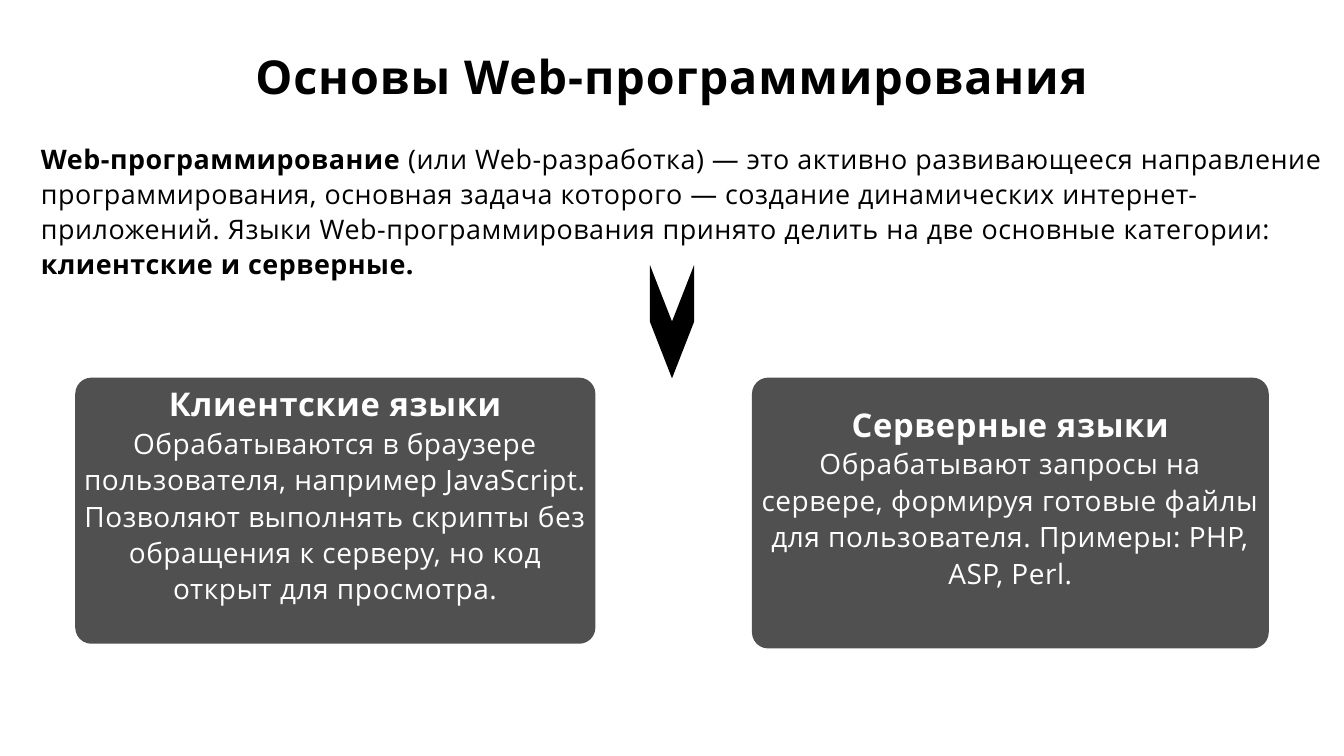
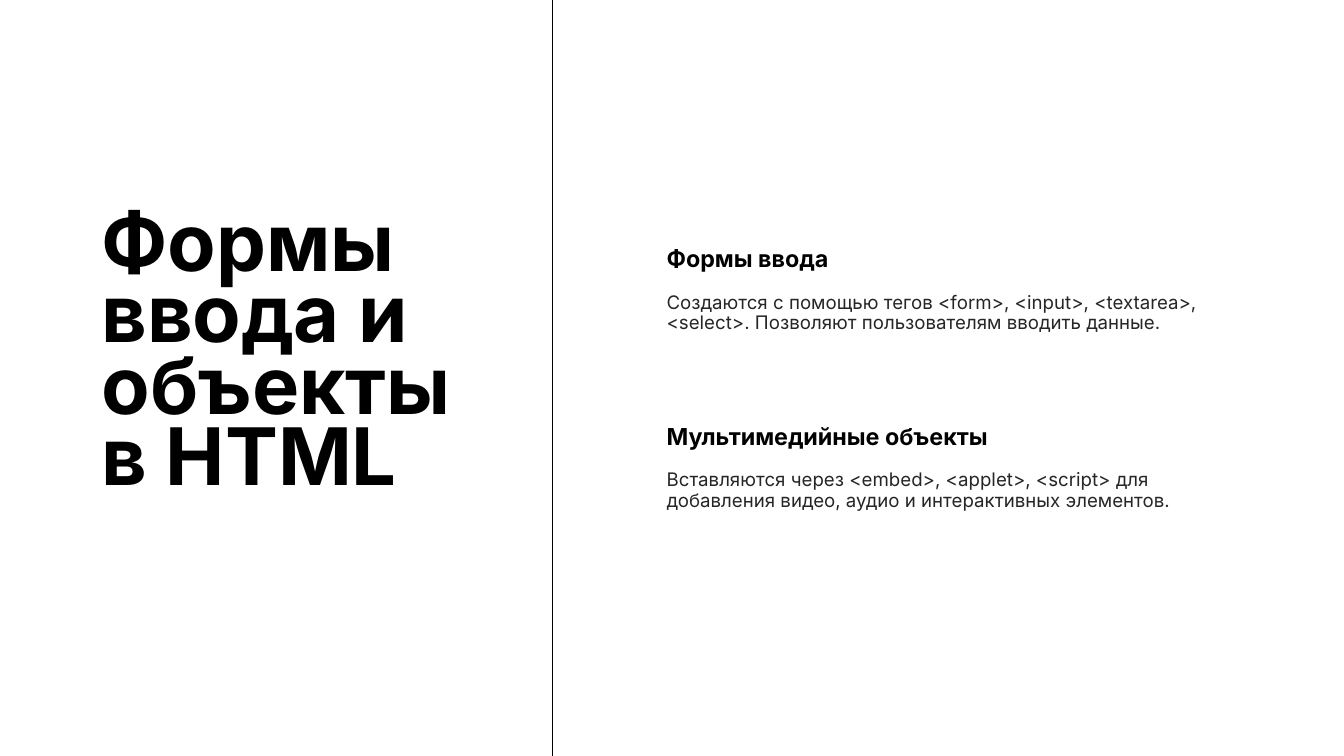
from dataclasses import dataclass, field

from lxml.etree import SubElement
from pptx import Presentation
from pptx.dml.color import RGBColor
from pptx.enum.shapes import MSO_CONNECTOR, MSO_SHAPE
from pptx.enum.text import MSO_ANCHOR, MSO_AUTO_SIZE, PP_ALIGN
from pptx.oxml.ns import qn
from pptx.util import Inches, Pt

TITLE_ONLY = 5
PAGE_WIDTH, PAGE_HEIGHT = 20, 11.25


@dataclass(frozen=True)
class TextStyle:
    font: str
    size: float
    leading: float
    color: str = "000000"
    bold: bool = False
    tracking: float = 0
    align: PP_ALIGN = PP_ALIGN.LEFT


@dataclass(frozen=True)
class Theme:
    ink: str = "000000"
    paper: str = "FFFFFF"
    backdrop: str = "F6F4F4"
    card: str = "505050"
    styles: dict = field(default_factory=lambda: {
        "headline": TextStyle("Open Sans", 50, 65, bold=True, tracking=1, align=PP_ALIGN.CENTER),
        "intro": TextStyle("Open Sans", 28.8, 37.5, tracking=0.57),
        "card head": TextStyle("Open Sans", 35, 45.5, "FFFFFF", True, 0.7, PP_ALIGN.CENTER),
        "card body": TextStyle("Open Sans", 30, 39, "FFFFFF", False, 0.6, PP_ALIGN.CENTER),
        "side title": TextStyle("Inter", 85, 76.5, bold=True),
        "topic head": TextStyle("Inter", 25, 30, bold=True),
        "topic body": TextStyle("Inter", 20, 22, "272525"),
    })


THEME = Theme()


def set_all(target, values):
    for name, value in values.items():
        setattr(target, name, value)


def lengths(*values):
    return [Inches(value) for value in values]


def paint(shape, color):
    shape.shadow.inherit = False
    shape.fill.solid()
    shape.fill.fore_color.rgb = RGBColor.from_string(color)
    shape.line.fill.background()


def set_frame(frame, anchor=MSO_ANCHOR.TOP, bottom=0):
    set_all(frame, {
        "margin_left": 0, "margin_right": 0, "margin_top": 0,
        "margin_bottom": Inches(bottom), "word_wrap": True,
        "auto_size": MSO_AUTO_SIZE.NONE, "vertical_anchor": anchor,
    })


def write(para, style_name, *pieces):
    """Fill a paragraph; a piece is text, or a (text, bold) pair."""
    style = THEME.styles[style_name]
    set_all(para, {"alignment": style.align, "line_spacing": Pt(style.leading),
                   "space_before": Pt(0), "space_after": Pt(0)})
    for piece in pieces:
        text, bold = (piece, style.bold) if isinstance(piece, str) else piece
        span = para.add_run()
        span.text = text
        set_all(span.font, {"name": style.font, "size": Pt(style.size), "bold": bold})
        span.font.color.rgb = RGBColor.from_string(style.color)
        if style.tracking:
            span.font._element.set("spc", str(round(style.tracking * 100)))


def add_page(deck, box, style_name, title):
    page = deck.slides.add_slide(deck.slide_layouts[TITLE_ONLY])
    page.background.fill.solid()
    page.background.fill.fore_color.rgb = RGBColor.from_string(THEME.paper)
    holder = page.shapes.title
    set_all(holder, dict(zip(("left", "top", "width", "height"), lengths(*box))))
    set_frame(holder.text_frame)
    write(holder.text_frame.paragraphs[0], style_name, title)
    return page


def add_backdrop(page):
    """Lay two full-page sheets below the title."""
    for color in (THEME.backdrop, THEME.paper):
        sheet = page.shapes.add_shape(
            MSO_SHAPE.RECTANGLE, *lengths(0, 0, PAGE_WIDTH, PAGE_HEIGHT))
        paint(sheet, color)
        page.shapes.title._element.addprevious(sheet._element)


def add_text(page, box, style_name, *pieces):
    frame = page.shapes.add_textbox(*lengths(*box)).text_frame
    set_frame(frame)
    write(frame.paragraphs[0], style_name, *pieces)


def add_down_chevron(page, box):
    """Turn a chevron a quarter so that it points down inside the box."""
    left, top, width, height = box
    shift = (height - width) / 2
    arrow = page.shapes.add_shape(
        MSO_SHAPE.CHEVRON, *lengths(left - shift, top + shift, height, width))
    arrow.rotation = 90
    arrow.adjustments[0] = height / 2 / width
    paint(arrow, THEME.ink)


def add_card(page, box, head, body):
    card = page.shapes.add_shape(MSO_SHAPE.ROUNDED_RECTANGLE, *lengths(*box))
    card.adjustments[0] = 0.24 / min(box[2:])
    paint(card, THEME.card)
    frame = card.text_frame
    set_frame(frame, MSO_ANCHOR.MIDDLE, bottom=0.52)
    write(frame.paragraphs[0], "card head", head)
    write(frame.add_paragraph(), "card body", body)


def add_divider(page, left):
    line = page.shapes.add_connector(
        MSO_CONNECTOR.STRAIGHT, *lengths(left, 0, left, PAGE_HEIGHT))
    line.line.color.rgb = RGBColor.from_string(THEME.ink)
    line.line.width = Pt(1.5)
    SubElement(line._element.spPr, qn("a:effectLst"))


def add_topic(page, box, head, body):
    left, top, width, height = box
    body_offset = 0.71
    add_text(page, (left, top, width, 0.41), "topic head", head)
    add_text(page, (left, top + body_offset, width, height - body_offset), "topic body", body)


def build_categories(deck):
    page = add_page(deck, (3.79, 0.64, 12.42, 0.89), "headline", "Основы Web-программирования")
    add_text(
        page, (0.61, 2.08, 19.39, 2.03), "intro",
        ("Web-программирование ", True),
        "(или Web-разработка) — это активно развивающееся направление программирования, "
        "основная задача которого — создание динамических интернет-приложений. "
        "Языки Web-программирования принято делить на две основные категории: ",
        ("клиентские и серверные.", True))
    add_down_chevron(page, (9.67, 3.94, 0.66, 1.69))
    add_card(page, (1.12, 5.62, 7.74, 3.96), "Клиентские языки",
             "Обрабатываются в браузере пользователя, например JavaScript. Позволяют "
             "выполнять скрипты без обращения к серверу, но код открыт для просмотра.")
    add_card(page, (11.19, 5.62, 7.69, 4.03), "Серверные языки",
             "Обрабатывают запросы на сервере, формируя готовые файлы для пользователя. "
             "Примеры: PHP, ASP, Perl.")


def build_forms(deck):
    page = add_page(deck, (1.51, 3.21, 5.77, 4.31), "side title", "Формы ввода и объекты в HTML")
    add_backdrop(page)
    add_divider(page, 8.22)
    topics = (
        ("Формы ввода",
         "Создаются с помощью тегов <form>, <input>, <textarea>, <select>. "
         "Позволяют пользователям вводить данные."),
        ("Мультимедийные объекты",
         "Вставляются через <embed>, <applet>, <script> для добавления видео, "
         "аудио и интерактивных элементов."),
    )
    for row, (head, body) in enumerate(topics):
        add_topic(page, (9.92, 3.64 + 2.64 * row, 8.57, 1.33), head, body)


def main():
    deck = Presentation()
    set_all(deck, {"slide_width": Inches(PAGE_WIDTH), "slide_height": Inches(PAGE_HEIGHT)})
    build_categories(deck)
    build_forms(deck)
    deck.save("out.pptx")


if __name__ == "__main__":
    main()
